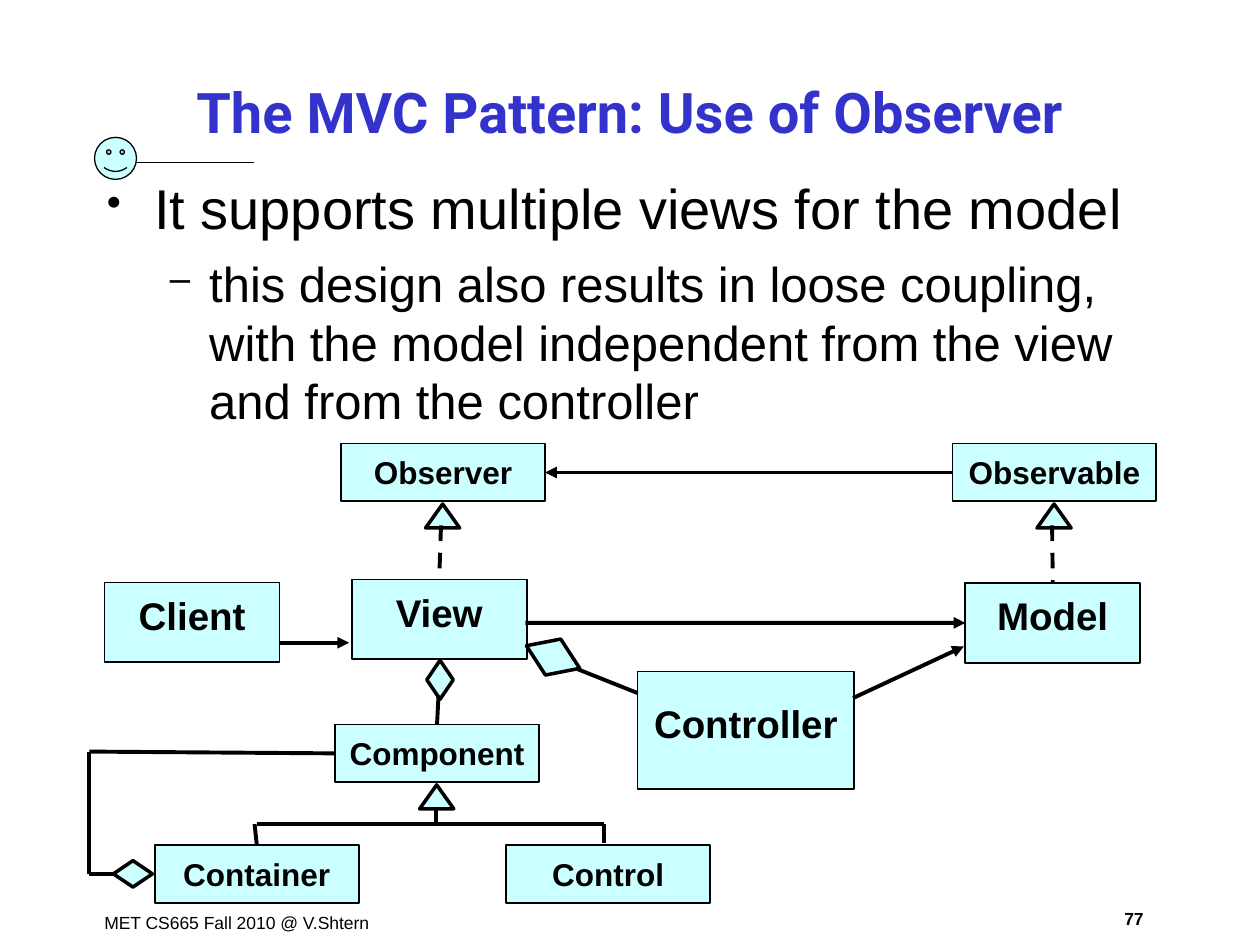
from pptx import Presentation
from pptx.dml.color import RGBColor
from pptx.enum import dml, shapes, text
from pptx.oxml.ns import qn
from pptx.util import Pt
from lxml import etree

THEME = {
    "ink": RGBColor(0, 0, 0),
    "fill": RGBColor(0xCC, 0xFF, 0xFF),
    "title": RGBColor(0x33, 0x33, 0xCC),
    "body_font": "Arial",
    "title_font": "Roboto",
    "title_size": 32,
    "bullet_sizes": (32, 28),
    "large": 22,
    "small": 18,
    "footer": 10,
}

TITLE = "The MVC Pattern: Use of Observer"
BULLETS = [
    ("It supports multiple views for the model", "•", 27, 27, 8),
    ("this design also results in loose coupling, with the model independent "
     "from the view and from the controller", "–", 58.5, 22.5, 7),
]
FOOTERS = [
    ("MET CS665 Fall 2010 @ V.Shtern", (52.5, 517.5, 173.5, 19.5), False, text.PP_ALIGN.LEFT),
    ("77", (628.5, 515.5, 39, 19.5), True, text.PP_ALIGN.CENTER),
]

LARGE_BOX = (100, 45.5)
SMALL_BOX = (116.5, 33)
CLASSES = [
    ("View", 201, 331.2, LARGE_BOX, "large", 7.2),
    ("Controller", 364.3, 383.8, (123.8, 67), "large", 18),
    ("Model", 551.6, 333.2, LARGE_BOX, "large", 7.2),
    ("Client", 59.8, 332.8, LARGE_BOX, "large", 7.2),
    ("Component", 191.5, 414, SMALL_BOX, "small", 7.2),
    ("Container", 88.5, 483, SMALL_BOX, "small", 7.2),
    ("Control", 289.3, 483, SMALL_BOX, "small", 7.2),
    ("Observer", 195, 253.5, SMALL_BOX, "small", 7.2),
    ("Observable", 544.3, 253.5, SMALL_BOX, "small", 7.2),
]

TRIANGLE = shapes.MSO_SHAPE.ISOSCELES_TRIANGLE
DIAMOND = shapes.MSO_SHAPE.FLOWCHART_DECISION
SYMBOLS = [
    (TRIANGLE, (239.8, 448.5, 19.5, 13.7), 0),
    (TRIANGLE, (243.2, 288, 19.5, 13.7), 0),
    (TRIANGLE, (592.6, 288, 19.5, 13.7), 0),
    (DIAMOND, (299.5, 364.3, 33.1, 22.3), 23),
    (DIAMOND, (240.3, 380.9, 22.3, 15.1), 270),
    (DIAMOND, (64.8, 491.8, 22.3, 15.1), 180),
]

TOP, LEFT, BOTTOM, RIGHT = range(4)
BUS_Y = 470.9
LOOP_X = 51.1
LOOP_BOTTOM = 499.5
LINES = [
    ((159.2, 367.3), (199.5, 367.3), "arrow"),
    ((329.8, 382.3), (364.3, 396), ""),
    ((487.5, 398.9), (550.8, 369.4), "arrow"),
    ((250.6, 397.4), ("Component", TOP), ""),
    ((145.5, BUS_Y), ("Container", TOP), ""),
    ((344.9, BUS_Y), (344.9, 481.7), ""),
    ((249.1, 462.2), (249.1, 472.3), ""),
    ((146.9, BUS_Y), (344.9, BUS_Y), ""),
    ((64.8, LOOP_BOTTOM), (LOOP_X, LOOP_BOTTOM), ""),
    ((LOOP_X, LOOP_BOTTOM), (LOOP_X, 429.5), ""),
    ((LOOP_X, 429.5), ("Component", LEFT), ""),
    ((252, 300.2), ("View", TOP), "dash"),
    ((601.2, 300.2), ("Model", TOP), "dash"),
    (("Observable", LEFT), ("Observer", RIGHT), "arrow"),
    ((300.2, 355.9), ("Model", LEFT), "arrow"),
]


def set_margins(frame, top=3.6):
    frame.margin_left = frame.margin_right = Pt(7.2)
    frame.margin_top, frame.margin_bottom = Pt(top), Pt(3.6)
    frame.word_wrap = True


def write(paragraph, words, size, bold=False, align=text.PP_ALIGN.LEFT,
          before=0, color="ink", font="body_font"):
    paragraph.text = words
    paragraph.alignment = align
    paragraph.space_before = Pt(before)
    paragraph.font.size = Pt(size)
    paragraph.font.bold = bold
    paragraph.font.name = THEME[font]
    paragraph.font.color.rgb = THEME[color]


def add_text_frame(slide, bounds):
    frame = slide.shapes.add_textbox(*map(Pt, bounds)).text_frame
    set_margins(frame)
    return frame


def add_filled(slide, kind, bounds, width):
    shape = slide.shapes.add_shape(kind, *map(Pt, bounds))
    shape.shadow.inherit = False
    shape.fill.solid()
    shape.fill.fore_color.rgb = THEME["fill"]
    shape.line.color.rgb = THEME["ink"]
    shape.line.width = Pt(width)
    return shape


def add_bullet(paragraph, mark, indent, hanging):
    properties = paragraph._p.get_or_add_pPr()
    properties.set("marL", str(Pt(indent)))
    properties.set("indent", str(-Pt(hanging)))
    size = etree.Element(qn("a:buSzPct"), val="75000")
    bullet = etree.Element(qn("a:buChar"), char=mark)
    properties.find(qn("a:spcBef")).addnext(size)
    size.addnext(bullet)


def add_class(slide, name, left, top, size, scale, inset):
    shape = add_filled(slide, shapes.MSO_SHAPE.RECTANGLE, (left, top, *size), 1)
    frame = shape.text_frame
    set_margins(frame, inset)
    frame.vertical_anchor = text.MSO_ANCHOR.TOP
    points = THEME[scale]
    write(frame.paragraphs[0], name, points, True, text.PP_ALIGN.CENTER, points / 4)
    frame.paragraphs[0].line_spacing = 0.95
    return shape


def add_line(slide, boxes, start, end, style="", width=2.25):
    joined = [isinstance(point[0], str) for point in (start, end)]
    begin_point = (0, 0) if joined[0] else start
    end_point = (0, 0) if joined[1] else end
    line = slide.shapes.add_connector(
        shapes.MSO_CONNECTOR.STRAIGHT, *map(Pt, begin_point + end_point))
    if joined[0]:
        line.begin_connect(boxes[start[0]], start[1])
    if joined[1]:
        line.end_connect(boxes[end[0]], end[1])
    line.line.color.rgb = THEME["ink"]
    line.line.width = Pt(width)
    if style == "dash":
        line.line.dash_style = dml.MSO_LINE.DASH
    if style == "arrow":
        etree.SubElement(line.line._get_or_add_ln(), qn("a:tailEnd"), type="triangle")
    etree.SubElement(line._element.spPr, qn("a:effectLst"))


def main():
    presentation = Presentation()
    presentation.slide_width, presentation.slide_height = Pt(720), Pt(540)
    slide = presentation.slides.add_slide(presentation.slide_layouts[6])

    for words, bounds, bold, align in FOOTERS:
        frame = add_text_frame(slide, bounds)
        write(frame.paragraphs[0], words, THEME["footer"], bold, align, 6.2)

    smiley = add_filled(slide, shapes.MSO_SHAPE.SMILEY_FACE, (54, 78.5, 24, 24), 0.75)
    smiley.adjustments[0] = 0.0465
    add_line(slide, {}, (78, 92.9), (145.4, 92.9), width=1)

    title = add_text_frame(slide, (54, 34.6, 612, 57.6))
    title.vertical_anchor = text.MSO_ANCHOR.MIDDLE
    write(title.paragraphs[0], TITLE, THEME["title_size"], True,
          text.PP_ALIGN.CENTER, color="title", font="title_font")

    body = add_text_frame(slide, (54, 95.8, 612, 414.7))
    for level, (words, mark, indent, hanging, before) in enumerate(BULLETS):
        paragraph = body.add_paragraph() if level else body.paragraphs[0]
        paragraph.level = level
        write(paragraph, words, THEME["bullet_sizes"][level], before=before)
        add_bullet(paragraph, mark, indent, hanging)

    boxes = {entry[0]: add_class(slide, *entry) for entry in CLASSES}
    for kind, bounds, rotation in SYMBOLS:
        add_filled(slide, kind, bounds, 2).rotation = rotation
    for start, end, style in LINES:
        add_line(slide, boxes, start, end, style)

    presentation.save("out.pptx")


if __name__ == "__main__":
    main()
